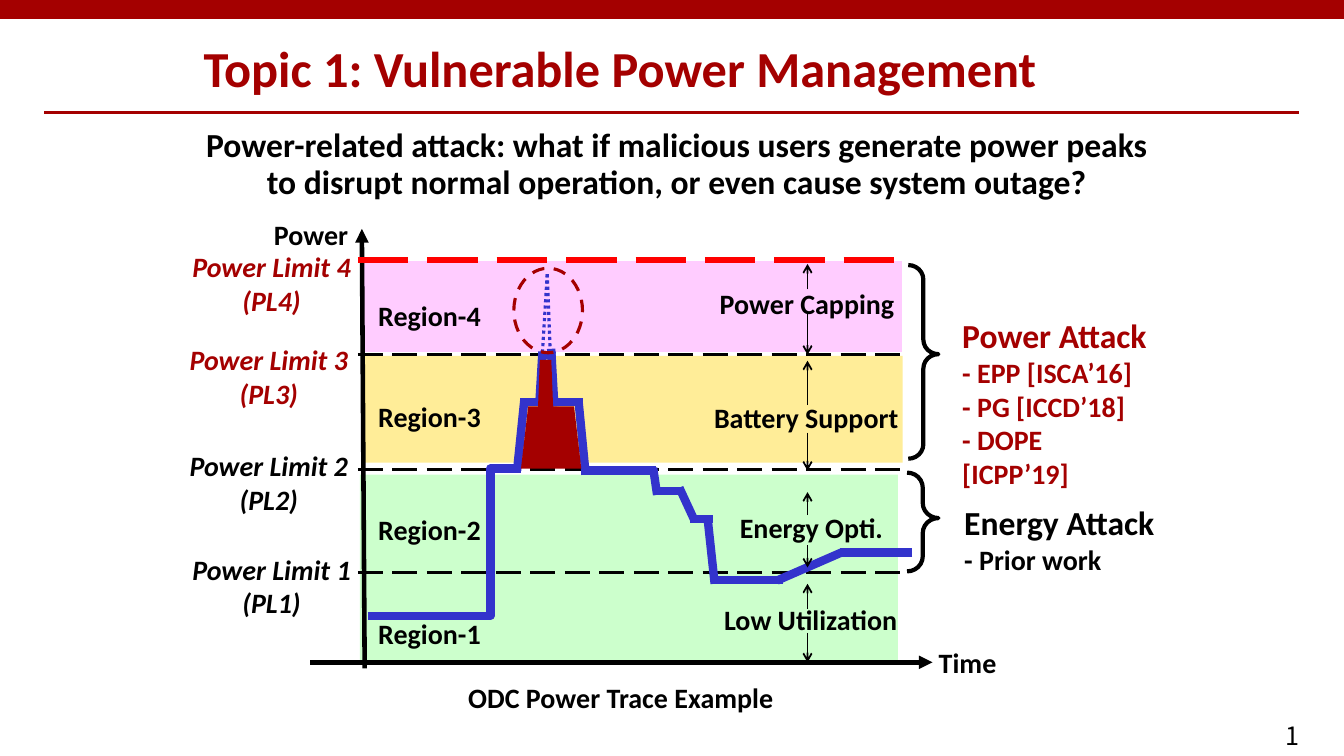
from lxml import etree
from pptx import Presentation
from pptx.dml.color import RGBColor
from pptx.enum.dml import MSO_LINE
from pptx.enum.shapes import MSO_CONNECTOR, MSO_SHAPE
from pptx.enum.text import MSO_ANCHOR, PP_ALIGN
from pptx.oxml.ns import qn
from pptx.util import Cm, Pt

RED = RGBColor(0xA4, 0x00, 0x00)
BRIGHT_RED = RGBColor(0xFF, 0x00, 0x00)
BLACK = RGBColor(0x00, 0x00, 0x00)
BLUE = RGBColor(0x33, 0x33, 0xCC)
PINK = RGBColor(0xFF, 0xCC, 0xFF)
YELLOW = RGBColor(0xFF, 0xED, 0x98)
GREEN = RGBColor(0xCC, 0xFF, 0xCC)

RECTANGLE = MSO_SHAPE.RECTANGLE
OVAL = MSO_SHAPE.OVAL
TRAPEZOID = MSO_SHAPE.TRAPEZOID
RIGHT_BRACE = MSO_SHAPE.RIGHT_BRACE
STRAIGHT = MSO_CONNECTOR.STRAIGHT
ELBOW = MSO_CONNECTOR.ELBOW
DASH = MSO_LINE.DASH
LONG_DASH = MSO_LINE.LONG_DASH
DOTTED = MSO_LINE.ROUND_DOT
LEFT = PP_ALIGN.LEFT
CENTER = PP_ALIGN.CENTER
TOP = MSO_ANCHOR.TOP
MIDDLE = MSO_ANCHOR.MIDDLE

LABEL_HEIGHT = 1.12
LIMIT_HEIGHT = 1.96
ARROW_X = 20.35

REGIONS = [
    (9.14, 6.58, 13.59, 2.29, PINK),
    (9.19, 8.97, 13.56, 2.69, YELLOW),
    (9.07, 11.96, 13.56, 4.75, GREEN),
]
LIMIT_LINES = [
    (11.84, BLACK, 2.25),
    (8.94, BLACK, 2.25),
    (6.55, BRIGHT_RED, 4.5),
    (14.43, BLACK, 2.25),
]
TRACE = [
    (13.21, 10.11, 13.03, 11.86),
    (13.11, 10.13, 13.69, 10.13),
    (14.58, 10.11, 14.76, 11.96),
    (14.63, 11.86, 16.54, 11.86),
    (16.46, 11.79, 16.56, 12.47),
    (16.48, 12.37, 17.2, 12.37),
    (17.4, 13.08, 17.96, 13.08),
    (17.12, 12.29, 17.5, 13.11),
    (18.01, 14.71, 17.83, 13.03),
    (19.74, 14.61, 17.91, 14.61),
    (21.21, 13.92, 19.58, 14.63),
    (22.99, 13.92, 21.16, 13.92),
    (13.89, 10.13, 14.68, 10.13),
    (13.59, 10.21, 13.67, 8.86),
    (13.97, 10.24, 13.89, 8.79),
    (14, 8.97, 13.61, 8.94),
]
PEAK = [(13.79, 6.91, 13.59, 10.19), (13.79, 6.91, 13.92, 10.24)]
ARROWS = [
    (7.29, 6.65), (7.9, 8.94),
    (10.21, 9.09), (10.9, 11.86),
    (12.98, 12.4), (13.74, 14.3),
    (15.34, 14.71), (15.95, 16.69),
]
LABELS = [
    ("Power", 6.05, 5.36, 3.58),
    ("Battery Support", 17.4, 9.98, 5.84),
    ("Power Capping", 17.48, 7.09, 5.72),
    ("Energy Opti.", 17.68, 12.75, 5.54),
    ("Low Utilization", 17.75, 15.06, 5.36),
    ("Time", 22.58, 16.13, 3.61),
    ("Region-1", 9.1, 15.42, 3.45),
    ("Region-2", 9.1, 12.78, 3.45),
    ("Region-3", 9.1, 9.93, 3.45),
    ("Region-4", 9.1, 7.39, 3.45),
    ("ODC Power Trace Example", 10.08, 17.02, 11.13),
]
LIMITS = [
    (4, 4.57, 6.17, RED),
    (3, 4.5, 8.51, RED),
    (2, 4.5, 11.18, BLACK),
    (1, 4.57, 13.79, BLACK),
]
BRACES = [(22.86, 11.91, 0.79, 2.49), (22.89, 6.68, 0.76, 4.88)]
QUESTION = (
    "Power-related attack: what if malicious users generate power peaks "
    "to disrupt normal operation, or even cause system outage?"
)


class SlideBuilder:
    """Draw styled elements on one slide, with positions in centimetres."""

    def __init__(self, slide, font="Calibri"):
        self.shapes = slide.shapes
        self.font = font

    def text(self, text, left, top, width, height, *, size=20, color=BLACK, bold=True,
             italic=False, align=CENTER, anchor=TOP, spacing=None, font=None, heading_size=None):
        frame = self.shapes.add_textbox(Cm(left), Cm(top), Cm(width), Cm(height)).text_frame
        frame.word_wrap = True
        frame.vertical_anchor = anchor
        frame.text = text
        for index, paragraph in enumerate(frame.paragraphs):
            paragraph.alignment = align
            paragraph.line_spacing = spacing
            run_font = paragraph.runs[0].font
            run_font.name = font or self.font
            run_font.size = Pt(heading_size if heading_size and index == 0 else size)
            run_font.bold = bold
            run_font.italic = italic
            run_font.color.rgb = color

    def shape(self, kind, left, top, width, height, *, fill=None, line=None,
              weight=2.25, dash=None, adjustments=()):
        shape = self.shapes.add_shape(kind, Cm(left), Cm(top), Cm(width), Cm(height))
        shape.shadow.inherit = False
        for index, value in enumerate(adjustments):
            shape.adjustments[index] = value
        if fill is None:
            shape.fill.background()
        else:
            shape.fill.solid()
            shape.fill.fore_color.rgb = fill
        if line is None:
            shape.line.fill.background()
        else:
            shape.line.color.rgb = line
            shape.line.width = Pt(weight)
            shape.line.dash_style = dash

    def line(self, start_x, start_y, end_x, end_y, *, color=BLACK, weight=2.25,
             dash=None, arrow=None, bend=None):
        kind = STRAIGHT if bend is None else ELBOW
        connector = self.shapes.add_connector(kind, Cm(start_x), Cm(start_y), Cm(end_x), Cm(end_y))
        connector.line.color.rgb = color
        connector.line.width = Pt(weight)
        connector.line.dash_style = dash
        properties = connector._element.spPr
        if arrow:
            etree.SubElement(properties.find(qn("a:ln")), qn("a:tailEnd"), type=arrow)
        if bend is not None:
            guides = properties.find(qn("a:prstGeom")).get_or_add_avLst()
            etree.SubElement(guides, qn("a:gd"), name="adj1", fmla=f"val {bend}")
        etree.SubElement(properties, qn("a:effectLst"))


def main():
    presentation = Presentation()
    presentation.slide_width = Cm(33.87)
    presentation.slide_height = Cm(19.05)
    builder = SlideBuilder(presentation.slides.add_slide(presentation.slide_layouts[6]))

    builder.line(1.12, 2.84, 32.74, 2.84, color=RED)
    builder.text("1", 31.29, 18.03, 2.57, 1.02, size=18, bold=False, font="Noto Sans CJK SC")
    builder.shape(RECTANGLE, 0, 0, 33.87, 0.48, fill=RED)
    builder.text("Topic 1: Vulnerable Power Management", 4.88, 0.53, 22.73, 2.34,
                 size=36, color=RED, align=LEFT, anchor=MIDDLE)
    builder.text(QUESTION, 4.85, 3.12, 24.41, 2.11, size=24, spacing=0.9)

    for *box, color in REGIONS:
        builder.shape(RECTANGLE, *box, fill=color)
    builder.line(7.82, 16.69, 23.5, 16.69, weight=3.25, arrow="triangle")
    builder.line(9.19, 16.84, 9.12, 5.77, weight=3.25, arrow="triangle")
    for y, color, weight in LIMIT_LINES:
        builder.line(9.02, y, 22.91, y, color=color, weight=weight, dash=LONG_DASH)

    builder.line(9.27, 15.52, 13.13, 11.81, color=BLUE, weight=6, bend=80100)
    for segment in PEAK:
        builder.line(*segment, color=BLUE, dash=DOTTED)
    for segment in TRACE:
        builder.line(*segment, color=BLUE, weight=6)
    for start, tip in ARROWS:
        builder.line(ARROW_X, start, ARROW_X, tip, weight=1.25, arrow="arrow")

    for label, left, top, width in LABELS:
        builder.text(label, left, top, width, LABEL_HEIGHT)
    for level, left, top, color in LIMITS:
        builder.text(f"Power Limit {level} (PL{level})", left, top, 4.55, LIMIT_HEIGHT,
                     color=color, italic=True)

    builder.shape(OVAL, 12.95, 6.76, 1.73, 2.13, line=RED, dash=DASH)
    builder.shape(TRAPEZOID, 13.13, 10.24, 1.52, 1.57, fill=RED, adjustments=[0.12])
    builder.shape(TRAPEZOID, 13.56, 9.07, 0.38, 1.19, fill=RED, adjustments=[0.12])
    for box in BRACES:
        builder.shape(RIGHT_BRACE, *box, line=BLACK, weight=3, adjustments=[0.48, 0.46])
    builder.text("Energy Attack\n- Prior work", 24.05, 12.52, 5.44, 2.13,
                 align=LEFT, heading_size=24)
    builder.text("Power Attack\n- EPP [ISCA’16]\n- PG [ICCD’18]\n- DOPE [ICPP’19]",
                 24, 7.82, 5.18, 3.84, color=RED, align=LEFT, heading_size=24)

    presentation.save("out.pptx")


if __name__ == "__main__":
    main()
